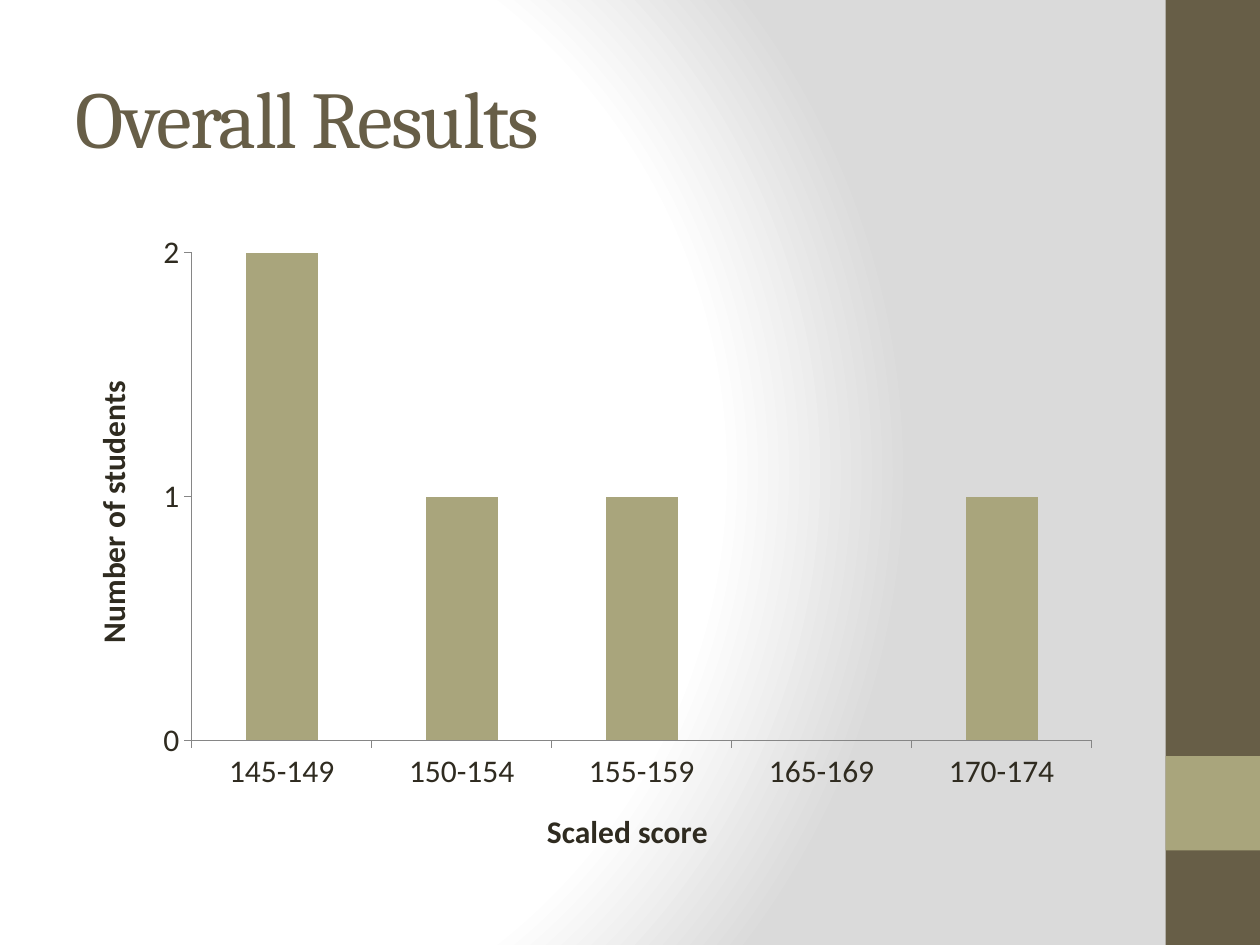
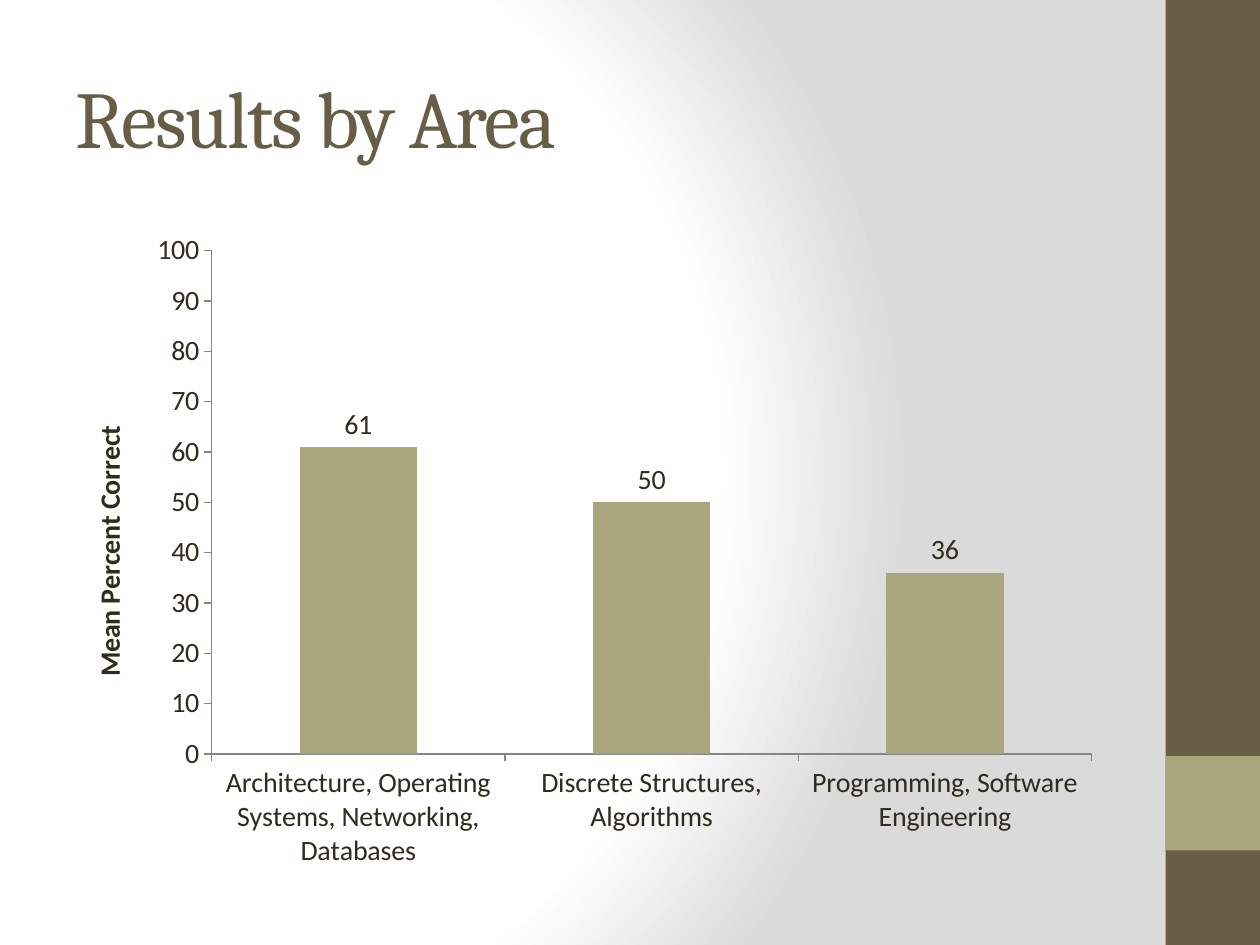
"""Build two slides of test results, each a column chart under a title."""
import pptx
import pptx.chart.data
import pptx.dml.color
import pptx.enum.chart
import pptx.enum.shapes
import pptx.enum.text
import pptx.oxml
import pptx.util

Inches = pptx.util.Inches
Pt = pptx.util.Pt
RGBColor = pptx.dml.color.RGBColor

BROWN = RGBColor(0x67, 0x5E, 0x47)
OLIVE = RGBColor(0xA9, 0xA5, 0x7C)
INK = RGBColor(0x2F, 0x2B, 0x20)
GREY = RGBColor(0x86, 0x86, 0x86)

GLOW = """<a:gradFill xmlns:a="http://schemas.openxmlformats.org/drawingml/2006/main" rotWithShape="1">
<a:gsLst>
<a:gs pos="0"><a:srgbClr val="FFFFFF"/></a:gs>
<a:gs pos="75000"><a:srgbClr val="FFFFFF"/></a:gs>
<a:gs pos="100000"><a:srgbClr val="DADADA"/></a:gs>
</a:gsLst>
<a:path path="circle"><a:fillToRect l="20000" t="50000" r="100000" b="50000"/></a:path>
</a:gradFill>"""

BANDS = [(0, 7.5, BROWN), (6, 0.75, OLIVE)]

SLIDES = [
    {
        "title": "Overall Results",
        "size": 18,
        "cats": ["145-149", "150-154", "155-159", "165-169", "170-174"],
        "vals": [2, 1, 1, None, 1],
        "across": "Scaled score",
        "up": "Number of students",
        "top": 2,
        "step": 1,
        "labels": False,
    },
    {
        "title": "Results by Area",
        "size": 16,
        "cats": [
            "Architecture, Operating Systems, Networking, Databases",
            "Discrete Structures, Algorithms",
            "Programming, Software Engineering",
        ],
        "vals": [61, 50, 36],
        "across": None,
        "up": "Mean Percent Correct",
        "top": 100,
        "step": 10,
        "labels": True,
    },
]


def style(font, size, color, name="Calibri", bold=False):
    font.size = Pt(size)
    font.color.rgb = color
    font.name = name
    font.bold = bold


deck = pptx.Presentation()
deck.slide_width = Inches(10)
deck.slide_height = Inches(7.5)

master = deck.slide_master
master.background.fill.solid()
solid = master.element.xpath("./p:cSld/p:bg/p:bgPr/a:solidFill")[0]
solid.getparent().replace(solid, pptx.oxml.parse_xml(GLOW))

for item in SLIDES:
    slide = deck.slides.add_slide(deck.slide_layouts[5])

    for top, height, color in BANDS:
        band = slide.shapes.add_shape(
            pptx.enum.shapes.MSO_SHAPE.RECTANGLE,
            Inches(9.25), Inches(top), Inches(0.75), Inches(height))
        band.shadow.inherit = False
        band.fill.solid()
        band.fill.fore_color.rgb = color
        band.line.fill.background()

    title = slide.shapes.title
    title.left, title.top = Inches(0.5), Inches(0.3)
    title.width, title.height = Inches(8.33), Inches(1.25)
    frame = title.text_frame
    frame.text = item["title"]
    frame.auto_size = pptx.enum.text.MSO_AUTO_SIZE.NONE
    frame.vertical_anchor = pptx.enum.text.MSO_ANCHOR.MIDDLE
    line = frame.paragraphs[0]
    line.alignment = pptx.enum.text.PP_ALIGN.LEFT
    style(line.runs[0].font, 46, BROWN, "Cambria")
    line.runs[0].font._element.set("spc", "-100")

    data = pptx.chart.data.CategoryChartData()
    data.categories = item["cats"]
    data.add_series("Series 1", item["vals"])
    chart = slide.shapes.add_chart(
        pptx.enum.chart.XL_CHART_TYPE.COLUMN_CLUSTERED,
        Inches(0.5), Inches(1.75), Inches(8.33), Inches(5.25), data).chart
    chart.has_title = False
    chart.has_legend = False
    style(chart.font, item["size"], INK)

    plot = chart.plots[0]
    plot.gap_width = 150
    plot.vary_by_categories = False
    bars = plot.series[0].format.fill
    bars.solid()
    bars.fore_color.rgb = OLIVE
    if item["labels"]:
        plot.has_data_labels = True
        plot.data_labels.show_value = True
        plot.data_labels.position = pptx.enum.chart.XL_LABEL_POSITION.OUTSIDE_END
        style(plot.data_labels.font, item["size"], INK)

    scale = chart.value_axis
    scale.minimum_scale = 0
    scale.maximum_scale = item["top"]
    scale.major_unit = item["step"]

    for axis, text, turn in [(chart.category_axis, item["across"], "0"),
                             (scale, item["up"], "-5400000")]:
        axis.has_major_gridlines = False
        axis.major_tick_mark = pptx.enum.chart.XL_TICK_MARK.OUTSIDE
        axis.minor_tick_mark = pptx.enum.chart.XL_TICK_MARK.NONE
        axis.format.line.color.rgb = GREY
        axis.format.line.width = Pt(0.75)
        axis.has_title = text is not None
        if text:
            label = axis.axis_title.text_frame
            label.text = text
            style(label.paragraphs[0].runs[0].font, item["size"], INK, bold=True)
            axis.axis_title.element.xpath(".//a:bodyPr")[0].set("rot", turn)

deck.save("out.pptx")
